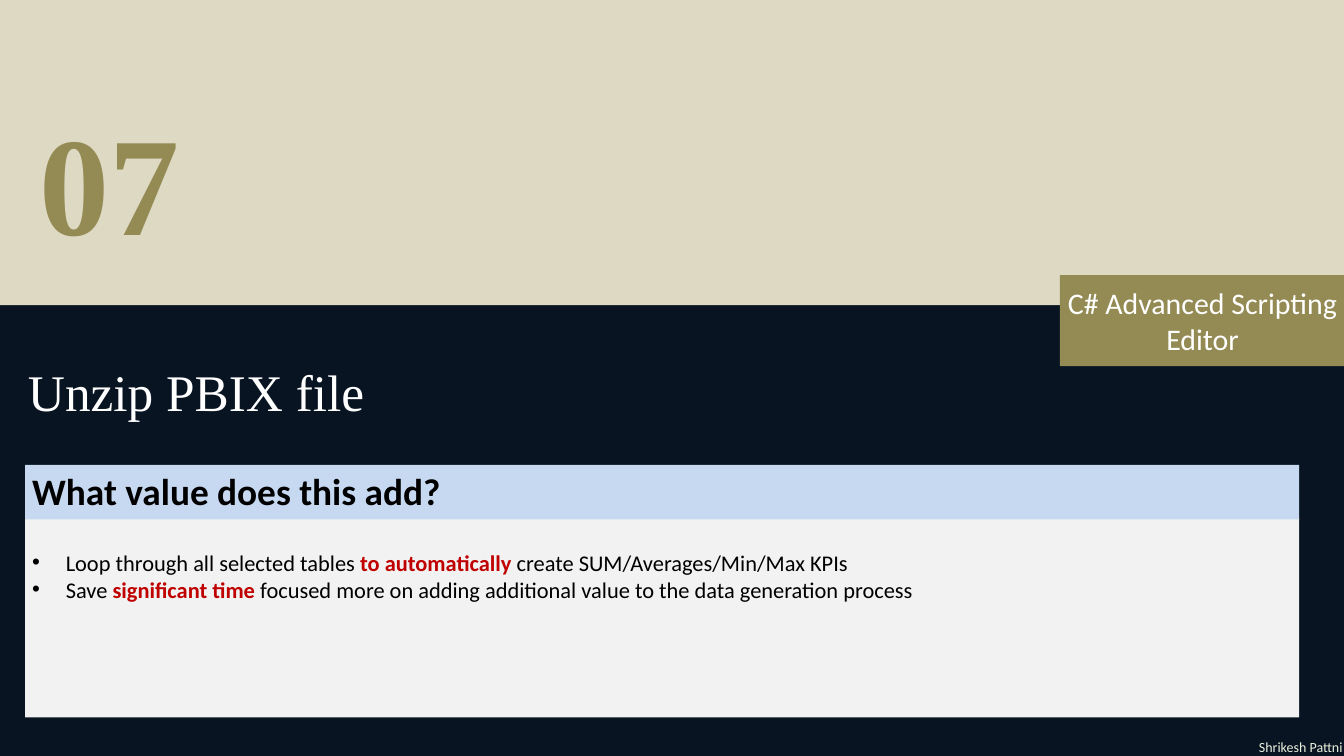
from dataclasses import dataclass

from lxml import etree
from pptx import Presentation
from pptx.dml.color import RGBColor
from pptx.enum.shapes import MSO_SHAPE
from pptx.enum.text import MSO_ANCHOR, PP_ALIGN
from pptx.oxml.ns import qn
from pptx.slide import Slide
from pptx.util import Pt

RECT = MSO_SHAPE.RECTANGLE
TOP, MIDDLE = MSO_ANCHOR.TOP, MSO_ANCHOR.MIDDLE
LEFT, CENTER, RIGHT = PP_ALIGN.LEFT, PP_ALIGN.CENTER, PP_ALIGN.RIGHT
PX = 9525  # 96 px to the inch


@dataclass(frozen=True)
class Theme:
    navy: str = "081422"
    sand: str = "DDD9C3"
    olive: str = "948A54"
    blue: str = "C6D9F1"
    gray: str = "F2F2F2"
    mint: str = "EBF1DE"
    white: str = "FFFFFF"
    black: str = "000000"
    red: str = "C00000"
    serif: str = "Times New Roman"
    sans: str = "Calibri"
    number: int = 150
    title: int = 55
    head: int = 40
    tag: int = 32
    body: int = 24
    small: int = 15


T = Theme()


@dataclass(frozen=True)
class Run:
    text: str
    size: int
    color: str
    bold: bool = False
    font: str = T.sans


@dataclass(frozen=True)
class Box:
    left: int
    top: int
    width: int
    height: int
    lines: tuple[tuple[Run, ...], ...] = ()
    fill: str | None = None
    inset: tuple[int, int] = (10, 5)  # side, top
    align: PP_ALIGN = LEFT
    anchor: MSO_ANCHOR = TOP
    pitch: int | None = None  # line spacing in points
    indent: int = 0  # hanging indent of bullets


def add_bullet(para, indent: int) -> None:
    props = para._p.get_or_add_pPr()
    props.set("marL", str(indent * PX))
    props.set("indent", str(-indent * PX))
    etree.SubElement(props, qn("a:buFont")).set("typeface", "Arial")
    etree.SubElement(props, qn("a:buChar")).set("char", "•")


def add_text(frame, box: Box) -> None:
    frame.word_wrap = True
    frame.vertical_anchor = box.anchor
    side, top = box.inset
    frame.margin_left = frame.margin_right = side * PX
    frame.margin_top = top * PX
    frame.margin_bottom = min(top, 5) * PX
    for i, line in enumerate(box.lines):
        para = frame.add_paragraph() if i else frame.paragraphs[0]
        para.alignment = box.align
        if box.pitch:
            para.line_spacing = Pt(box.pitch)
        if box.indent:
            add_bullet(para, box.indent)
        for item in line:
            run = para.add_run()
            run.text = item.text
            run.font.name = item.font
            run.font.size = Pt(item.size)
            run.font.bold = item.bold
            run.font.color.rgb = RGBColor.from_string(item.color)


def draw(slide: Slide, box: Box) -> None:
    area = [n * PX for n in (box.left, box.top, box.width, box.height)]
    if box.fill:
        shape = slide.shapes.add_shape(RECT, *area)
        shape.shadow.inherit = False
        shape.fill.solid()
        shape.fill.fore_color.rgb = RGBColor.from_string(box.fill)
        shape.line.fill.background()
    else:
        shape = slide.shapes.add_textbox(*area)
    if box.lines:
        add_text(shape.text_frame, box)


def plain(text: str) -> Run:
    return Run(text, T.body, T.black)


def strong(text: str) -> Run:
    return Run(text, T.body, T.red, True)


# Value card: header over body, sharing one left edge and width
EDGE, WIDE = 36, 1820
POINTS = (
    (plain("Loop through all selected tables "), strong("to automatically"),
     plain(" create SUM/Averages/Min/Max KPIs")),
    (plain("Save "), strong("significant time"),
     plain(" focused more on adding additional value to the data generation process")),
)

BOXES = (
    # Top band and section number
    Box(0, -4, 1920, 440, fill=T.sand),
    Box(56, 240, 1440, 156, ((Run("07", T.number, T.olive, True, T.serif),),),
        inset=(0, 0), pitch=102),
    # Author
    Box(1732, 1050, 196, 34, ((Run("Shrikesh Pattni", T.small, T.mint),),), align=RIGHT),
    # Title and topic tag
    Box(40, 466, 1608, 122, ((Run("Unzip PBIX file", T.title, T.white, font=T.serif),),),
        inset=(0, 0), pitch=102),
    Box(1514, 393, 408, 130, ((Run("C# Advanced Scripting Editor", T.tag, T.white),),),
        fill=T.olive, align=CENTER, anchor=MIDDLE),
    # Value card
    Box(EDGE, 740, WIDE, 285, POINTS, fill=T.gray, inset=(10, 44), indent=48),
    Box(EDGE, 664, WIDE, 78, ((Run("What value does this add?", T.head, T.black, True),),),
        fill=T.blue),
)


def main() -> None:
    deck = Presentation()
    deck.slide_width, deck.slide_height = 1920 * PX, 1080 * PX
    slide = deck.slides.add_slide(deck.slide_layouts[6])
    slide.background.fill.solid()
    slide.background.fill.fore_color.rgb = RGBColor.from_string(T.navy)
    for box in BOXES:
        draw(slide, box)
    deck.save("out.pptx")


if __name__ == "__main__":
    main()
